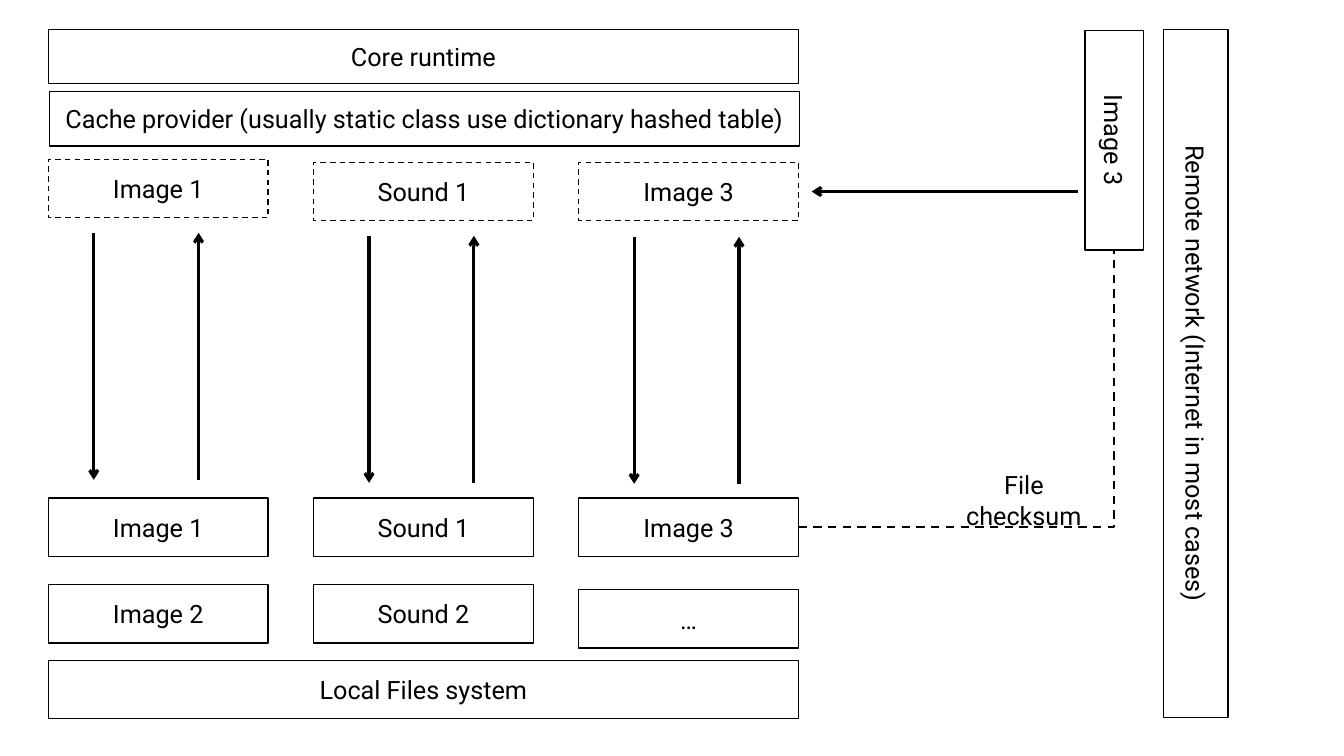
import pptx
import pptx.util
import pptx.dml.color
import pptx.enum.dml
import pptx.enum.shapes
import pptx.enum.text
import pptx.oxml.ns
import lxml.etree

Inches = pptx.util.Inches
Pt = pptx.util.Pt
COLORS = {"ink": "000000"}
FONT = "Roboto"
INK = pptx.dml.color.RGBColor.from_string(COLORS["ink"])
DASH = pptx.enum.dml.MSO_LINE.DASH
CONNECTOR = pptx.enum.shapes.MSO_CONNECTOR
BOX_W, BOX_H = 2.18, 0.58
COLUMN_STEP = 2.63


def style_line(line, width, dashed=False):
    line.color.rgb = INK
    line.width = Pt(width)
    if dashed:
        line.dash_style = DASH


def write(sp, text):
    tf = sp.text_frame
    tf.word_wrap = True
    tf.vertical_anchor = pptx.enum.text.MSO_ANCHOR.MIDDLE
    p = tf.paragraphs[0]
    p.text = text
    p.alignment = pptx.enum.text.PP_ALIGN.CENTER
    p.font.name = FONT
    p.font.size = Pt(18)
    p.font.color.rgb = INK


def add_box(s, text, x, y, w=BOX_W, h=BOX_H, dashed=False):
    sp = s.shapes.add_shape(pptx.enum.shapes.MSO_SHAPE.RECTANGLE,
                            Inches(x), Inches(y), Inches(w), Inches(h))
    sp.shadow.inherit = False
    sp.fill.background()
    style_line(sp.line, 1, dashed)
    write(sp, text)
    return sp


def add_line(shapes, kind, x1, y1, x2, y2, width, dashed=False):
    line = shapes.add_connector(kind, Inches(x1), Inches(y1), Inches(x2), Inches(y2))
    style_line(line.line, width, dashed)
    lxml.etree.SubElement(line._element.spPr, pptx.oxml.ns.qn("a:effectLst"))
    return line


def add_arrow(shapes, x1, y1, x2, y2):
    arrow = add_line(shapes, CONNECTOR.STRAIGHT, x1, y1, x2, y2, 2.25)
    ln = arrow.line._get_or_add_ln()
    lxml.etree.SubElement(ln, pptx.oxml.ns.qn("a:tailEnd"), type="arrow")


def add_layers(s, x, y, w):
    add_box(s, "Core runtime", x, y, w, 0.54)
    add_box(s, "Cache provider (usually static class use dictionary hashed table)",
            x + 0.01, y + 0.62, w, 0.54)
    add_box(s, "Local Files system", x, y + 6.26, w)


def add_cache_column(s, x, y, name, cached_dy, second, second_dy, arrow_dx, arrow_dy):
    add_box(s, name, x, y + cached_dy, dashed=True)
    add_box(s, name, x, y + 3.36)
    add_box(s, second, x, y + second_dy)
    top, bottom = y + arrow_dy, y + arrow_dy + 2.45
    pair = s.shapes.add_group_shape()
    add_arrow(pair.shapes, x + arrow_dx, top, x + arrow_dx, bottom)
    add_arrow(pair.shapes, x + arrow_dx + 1.04, bottom, x + arrow_dx + 1.04, top)


def add_remote(s, x, y, h):
    network = add_box(s, "Remote network (Internet in most cases)", x, y, 0.64, h)
    network.text_frame._txBody.bodyPr.set("vert", "vert")
    add_box(s, "Image 3", x - 1.58, y + 0.81).rotation = 90
    add_arrow(s.shapes, x - 0.85, y + 1.61, x - 3.49, y + 1.61)


def add_checksum_link(s, x, y, w, h):
    link = add_line(s.shapes, CONNECTOR.ELBOW, x, y + h, x + w, y, 1.5, True)
    link._element.spPr.find(pptx.oxml.ns.qn("a:prstGeom")).set("prst", "bentConnector2")
    label_w, label_h = 1.79, 0.54
    label = s.shapes.add_textbox(Inches(x + w - label_w), Inches(y + h - label_h),
                                 Inches(label_w), Inches(label_h))
    write(label, "File checksum")


prs = pptx.Presentation()
prs.slide_width, prs.slide_height = Inches(13.33), Inches(7.5)
s = prs.slides.add_slide(prs.slide_layouts[6])

LEFT, TOP = 0.48, 0.29
add_layers(s, LEFT, TOP, 7.44)
columns = [
    ("Image 1", 0, "Image 2", 4.22, 0.45, 0.73),
    ("Sound 1", 0.03, "Sound 2", 4.22, 0.55, 0.76),
    ("Image 3", 0.03, "…", 4.27, 0.55, 0.77),
]
for i, column in enumerate(columns):
    add_cache_column(s, LEFT + i * COLUMN_STEP, 1.58, *column)
add_remote(s, 11.54, TOP, 6.83)
add_checksum_link(s, 7.92, 2.47, 3.13, 2.76)

prs.save("out.pptx")
